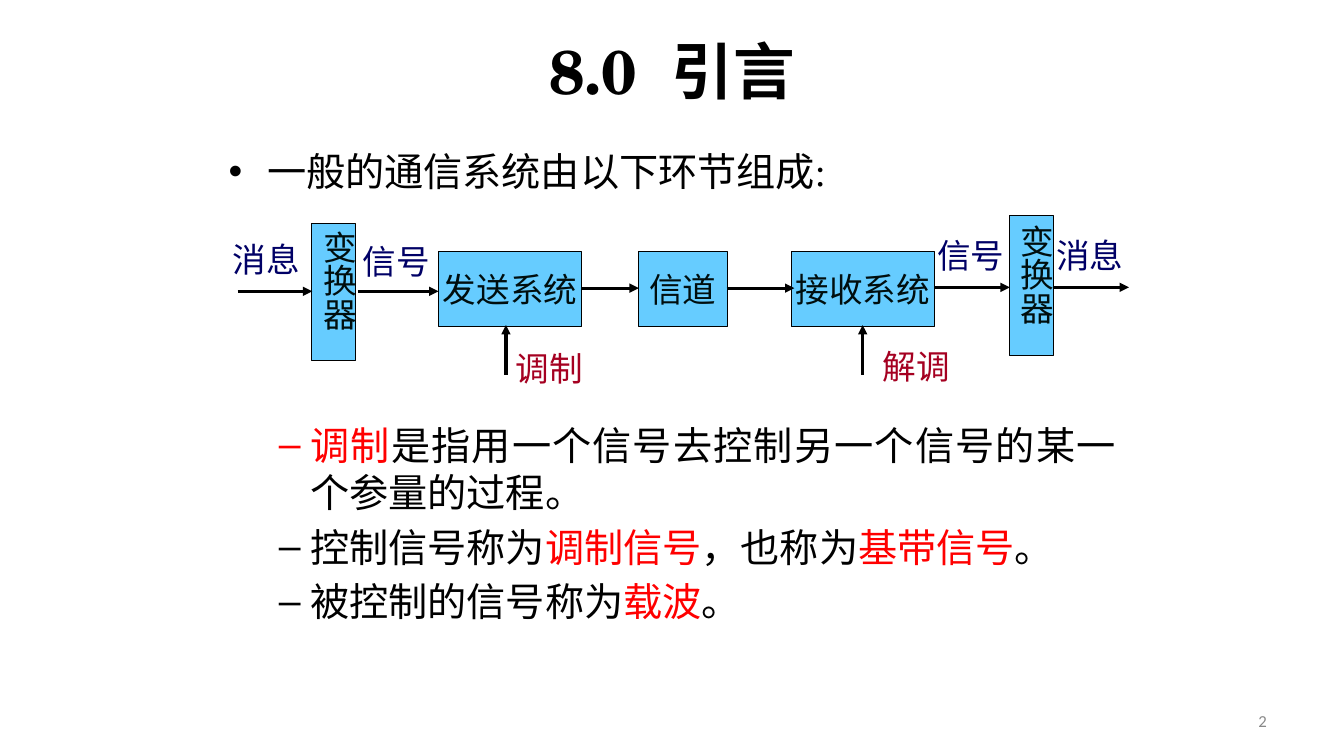
"""Build the introduction slide on the stages of a communication system."""
from dataclasses import dataclass

from lxml import etree
from pptx import Presentation
from pptx import util as u
from pptx.dml.color import RGBColor
from pptx.enum import shapes, text
from pptx.oxml.ns import qn

COLORS = {"black": "000000", "red": "FF0000", "block": "66CCFF", "block_text": "000E0E",
          "signal": "000066", "modulation": "A50021", "number": "898989"}
SERIF = "Times New Roman"
ALIGN = text.PP_ALIGN
MIDDLE = text.MSO_ANCHOR.MIDDLE


@dataclass
class Block:
    """A filled rectangle of the diagram."""
    left: float
    top: float
    width: float
    height: float
    caption: str = ""


@dataclass
class Label:
    """A free piece of diagram text."""
    caption: str
    left: float
    top: float
    color: str
    width: float = 2.21
    height: float = 1.27
    vertical: bool = False


@dataclass
class Arrow:
    """A straight arrow between two points."""
    x1: float
    y1: float
    x2: float
    y2: float


@dataclass
class Point:
    """A bulleted line made of coloured phrases."""
    bullet: str
    margin: float
    hanging: float
    before: float
    phrases: list[tuple[str, str]]


BLOCKS = [
    Block(7.85, 5.64, 1.12, 3.45),
    Block(11.05, 6.35, 3.61, 1.88, "发送系统"),
    Block(16.08, 6.35, 2.26, 1.88, "信道"),
    Block(19.94, 6.35, 3.61, 1.88, "接收系统"),
    Block(25.43, 5.44, 1.12, 3.53),
]
LABELS = [
    Label("变换器", 7.67, 5.56, "block_text", 1.52, 2.79, True),
    Label("变换器", 25.22, 5.41, "block_text", 1.52, 2.79, True),
    Label("消息", 5.61, 5.89, "signal"),
    Label("信号", 8.89, 5.94, "signal"),
    Label("信号", 23.37, 5.79, "signal"),
    Label("消息", 26.37, 5.79, "signal"),
    Label("调制", 12.75, 8.64, "modulation"),
    Label("解调", 22, 8.59, "modulation"),
]
ARROWS = [
    Arrow(5.99, 7.34, 7.87, 7.34),
    Arrow(9.02, 7.34, 11.05, 7.34),
    Arrow(14.66, 7.26, 16.1, 7.26),
    Arrow(18.31, 7.26, 20.02, 7.26),
    Arrow(23.57, 7.24, 25.45, 7.24),
    Arrow(26.57, 7.24, 28.45, 7.24),
    Arrow(12.75, 9.45, 12.75, 8.19),
    Arrow(21.74, 9.45, 21.74, 8.19),
]
POINTS = [
    Point("•", 0.97, 0.97, 0, [("一般的通信系统由以下环节组成:", "black")]),
    Point("–", 2.06, 0.79, 162, [
        ("调制", "red"), ("是指用一个信号去控制另一个信号的某一个参量的过程。", "black")]),
    Point("–", 2.06, 0.79, 5.6, [
        ("控制信号称为", "black"), ("调制信号", "red"), ("，也称为", "black"),
        ("基带信号", "red"), ("。", "black")]),
    Point("–", 2.06, 0.79, 5.6, [
        ("被控制的信号称为", "black"), ("载波", "red"), ("。", "black")]),
]


def rgb(color: str) -> RGBColor:
    """Look up a named colour."""
    return RGBColor.from_string(COLORS[color])


def place(left: float, top: float, width: float, height: float) -> list[u.Length]:
    """Turn centimetres into a position and size."""
    return [u.Cm(value) for value in (left, top, width, height)]


def write(paragraph, words: str, *, size: float = 24, font: str = SERIF, color: str = "black",
          bold: bool = False, align: ALIGN = ALIGN.LEFT, tracking: int = 0) -> None:
    """Add a formatted run to a paragraph."""
    paragraph.alignment = align
    run = paragraph.add_run()
    run.text = words
    run.font.size = u.Pt(size)
    run.font.name = font
    run.font.bold = bold
    run.font.color.rgb = rgb(color)
    if tracking:
        run.font._element.set("spc", str(tracking))


def draw_block(diagram, block: Block) -> None:
    """Draw one block with its centred caption."""
    area = place(block.left, block.top, block.width, block.height)
    box = diagram.add_shape(shapes.MSO_SHAPE.RECTANGLE, *area)
    box.shadow.inherit = False
    box.fill.solid()
    box.fill.fore_color.rgb = rgb("block")
    box.line.color.rgb = rgb("black")
    box.line.width = u.Pt(0.75)
    if block.caption:
        box.text_frame.word_wrap = False
        box.text_frame.vertical_anchor = MIDDLE
        write(box.text_frame.paragraphs[0], block.caption, color="block_text", align=ALIGN.CENTER)


def draw_label(diagram, label: Label) -> None:
    """Draw one label, upright or in a column."""
    frame = diagram.add_textbox(*place(label.left, label.top, label.width, label.height)).text_frame
    frame.word_wrap = False
    if label.vertical:
        frame._txBody.bodyPr.set("vert", "eaVert")
    write(frame.paragraphs[0], label.caption, color=label.color)


def draw_arrow(diagram, arrow: Arrow) -> None:
    """Draw one arrow with a triangular head."""
    ends = place(arrow.x1, arrow.y1, arrow.x2, arrow.y2)
    link = diagram.add_connector(shapes.MSO_CONNECTOR.STRAIGHT, *ends)
    link.line.color.rgb = rgb("black")
    link.line.width = u.Pt(2.25)
    etree.SubElement(link.line._get_or_add_ln(), qn("a:tailEnd"), type="triangle")
    etree.SubElement(link._element.spPr, qn("a:effectLst"))


def write_point(paragraph, point: Point) -> None:
    """Write one bulleted point."""
    properties = paragraph._p.get_or_add_pPr()
    properties.set("marL", str(u.Cm(point.margin)))
    properties.set("indent", str(-u.Cm(point.hanging)))
    etree.SubElement(properties, qn("a:buFont"), typeface="Arial")
    etree.SubElement(properties, qn("a:buChar"), char=point.bullet)
    if point.before:
        paragraph.space_before = u.Pt(point.before)
    for words, color in point.phrases:
        write(paragraph, words, size=28, color=color, align=ALIGN.JUSTIFY)


def main() -> None:
    """Build and save the slide."""
    deck = Presentation()
    deck.slide_width, deck.slide_height = u.Cm(33.87), u.Cm(19.05)
    slide = deck.slides.add_slide(deck.slide_layouts[5])

    heading = slide.shapes.title
    heading.left, heading.top, heading.width, heading.height = place(1.7, 0.76, 30.48, 2.01)
    heading.text_frame.vertical_anchor = MIDDLE
    for words, tracking in (("8.0", 0), (" ", 1200), ("引言", 0)):
        write(heading.text_frame.paragraphs[0], words, size=44, font="TeX Gyre Schola",
              bold=True, align=ALIGN.CENTER, tracking=tracking)

    points = slide.shapes.add_textbox(*place(5.51, 3.58, 22.86, 14.1)).text_frame
    points.word_wrap = True
    for index, point in enumerate(POINTS):
        write_point(points.add_paragraph() if index else points.paragraphs[0], point)

    number = slide.shapes.add_textbox(*place(24.28, 17.65, 7.9, 1.02)).text_frame
    number.word_wrap = True
    number.vertical_anchor = MIDDLE
    write(number.paragraphs[0], "2", size=12, font="Calibri", color="number", align=ALIGN.RIGHT)

    diagram = slide.shapes.add_group_shape().shapes
    for draw, items in ((draw_block, BLOCKS), (draw_label, LABELS), (draw_arrow, ARROWS)):
        for item in items:
            draw(diagram, item)
    deck.save("out.pptx")


if __name__ == "__main__":
    main()
